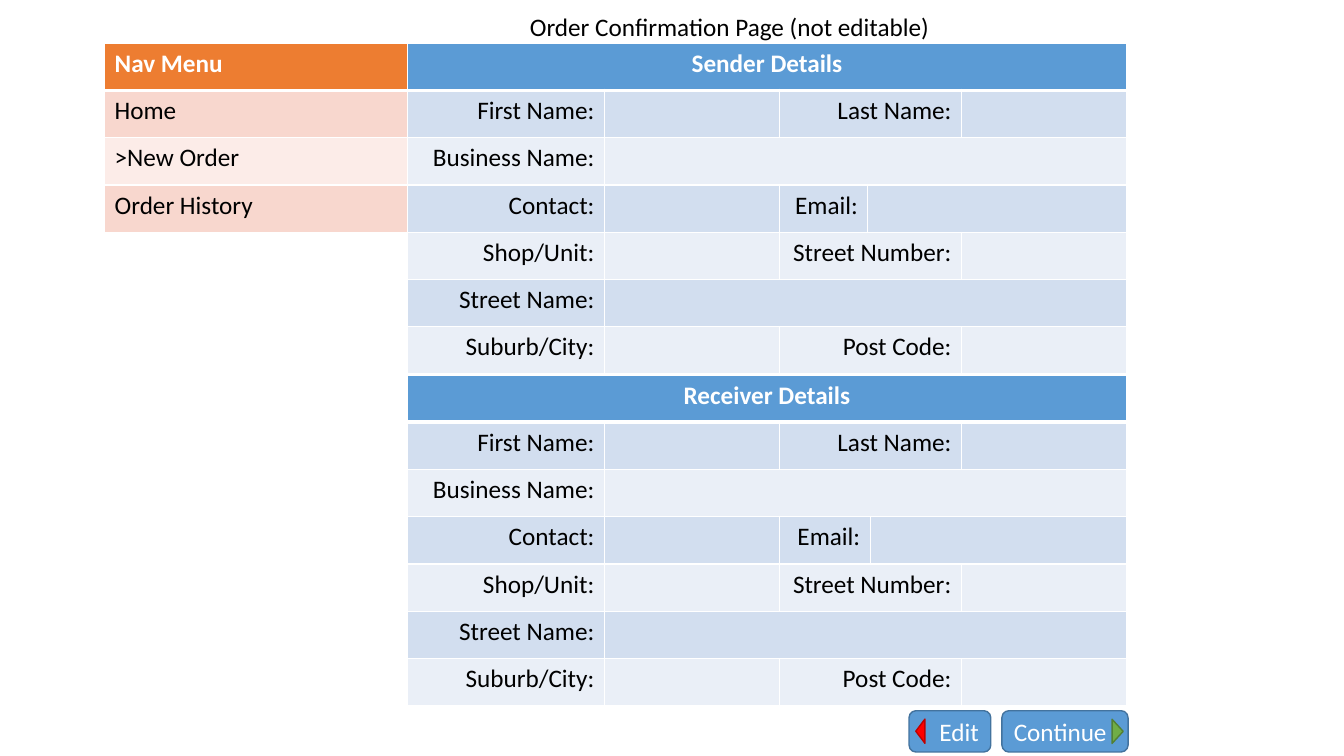
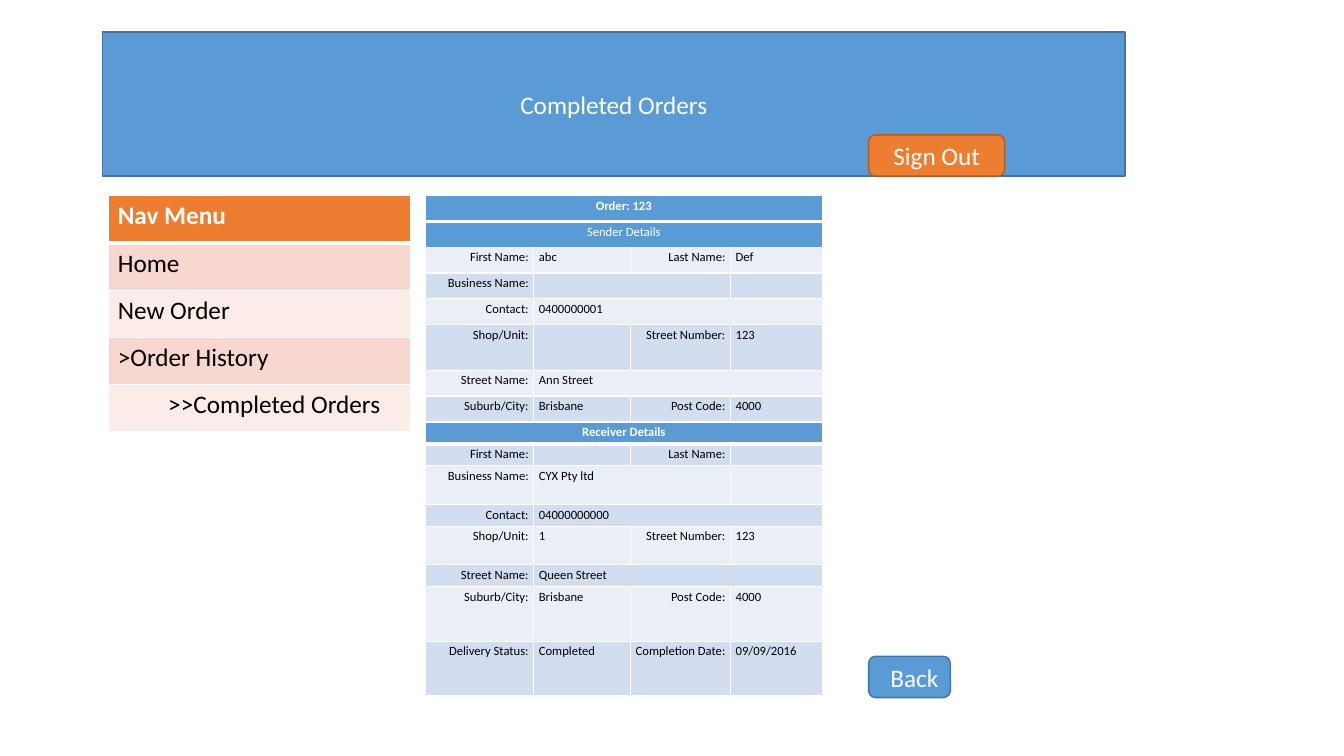
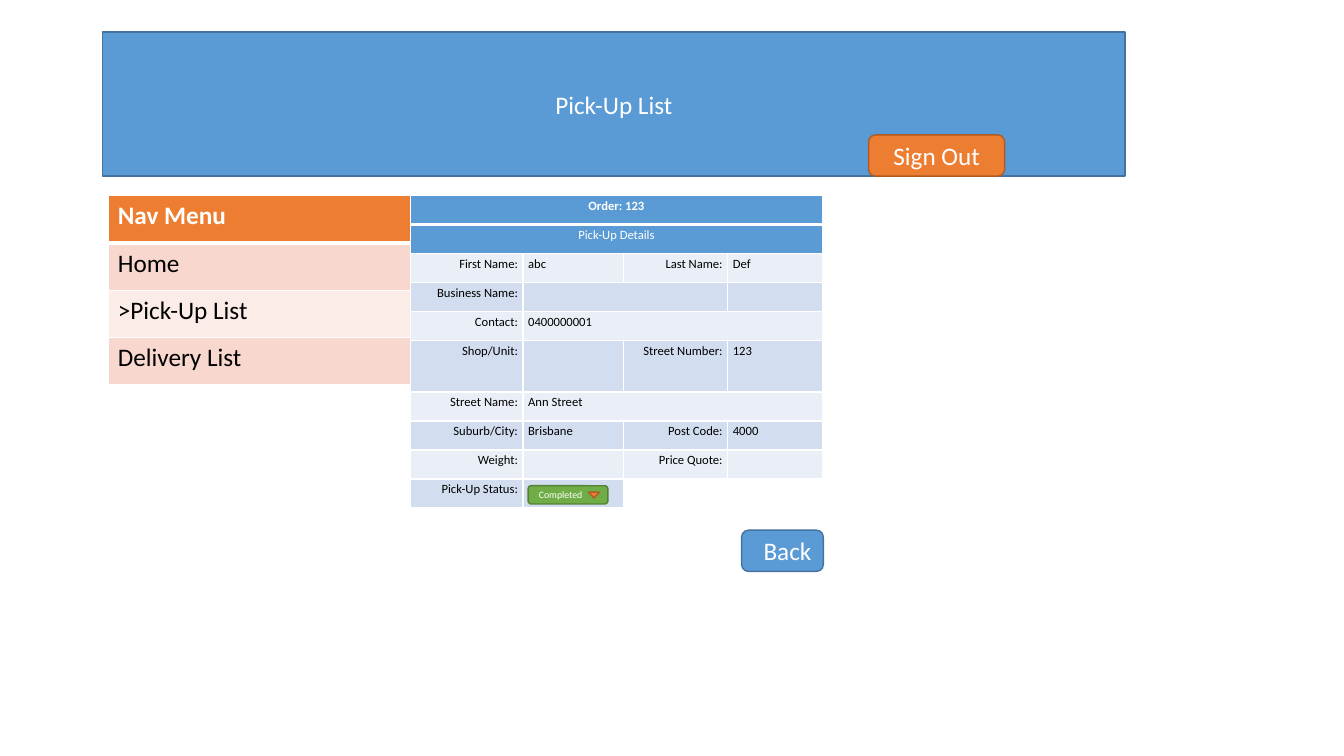
from pptx import Presentation
from pptx.dml.color import RGBColor
from pptx.enum.shapes import MSO_SHAPE as SHAPE
from pptx.enum.text import MSO_ANCHOR as ANCHOR, PP_ALIGN as ALIGN
from pptx.oxml.ns import qn
from pptx.util import Cm, Pt
from lxml.etree import SubElement

# Shared style
FONT = "Calibri"
WHITE, BLACK = "FFFFFF", "000000"
BLUE, BLUE_LINE = "5B9BD5", "43739E"
ORANGE, ORANGE_LINE = "ED7D31", "AF5C24"
GREEN, GREEN_LINE = "70AD47", "538035"
RED, RED_LINE = "FF0000", "C00000"
BLUE_BANDS = ("EAEFF7", "D2DEEF")  # even rows, odd rows
ORANGE_BANDS = ("FCECE8", "F8D7CE")
BUTTON_W, BUTTON_H = 2.06, 1.04
ROW_H = 1.19

# Table rows: None continues the cell on its left
FORM_ROWS = [
    ("First Name:", "", "Last Name:", None, ""),
    ("Business Name:", "", None, None, None),
    ("Contact:", "", "Email:", "", None),
    ("Shop/Unit:", "", "Street Number:", None, ""),
    ("Street Name:", "", None, None, None),
    ("Suburb/City:", "", "Post Code:", None, ""),
]


def order_rows(first, last, business, contact, unit, number, street, city, code):
    return [
        ("First Name:", first, "Last Name:", last),
        ("Business Name:", business, None, ""),
        ("Contact:", contact, None, None),
        ("Shop/Unit:", unit, "Street Number:", number),
        ("Street Name:", street, None, None),
        ("Suburb/City:", city, "Post Code:", code),
    ]


SENDER_ROWS = order_rows("abc", "Def", "", "0400000001", "", "123",
                         "Ann Street", "Brisbane", "4000")
RECEIVER_ROWS = order_rows("", "", "CYX Pty ltd", "04000000000", "1", "123",
                           "Queen Street", "Brisbane", "4000")


def rgb(color):
    return RGBColor.from_string(color)


def paint(shape, fill, line):
    shape.fill.solid()
    shape.fill.fore_color.rgb = rgb(fill)
    shape.line.color.rgb = rgb(line)
    shape.line.width = Pt(1)


def write(tf, text, size, color, align, bold=False):
    tf.text = text
    p = tf.paragraphs[0]
    p.alignment = align
    for r in p.runs:
        r.font.name, r.font.size, r.font.bold = FONT, Pt(size), bold
        r.font.color.rgb = rgb(color)
    return p


def add_shape(s, kind, x, y, w, h, fill, line, rotation=0):
    sp = s.shapes.add_shape(kind, Cm(x), Cm(y), Cm(w), Cm(h))
    sp.shadow.inherit = False
    sp.rotation = rotation
    paint(sp, fill, line)
    return sp


def add_button(s, text, x, y, w=BUTTON_W, h=BUTTON_H, fill=BLUE, line=BLUE_LINE,
               align=ALIGN.RIGHT, size=18):
    sp = add_shape(s, SHAPE.ROUNDED_RECTANGLE, x, y, w, h, fill, line)
    sp.text_frame.vertical_anchor = ANCHOR.MIDDLE
    write(sp.text_frame, text, size, WHITE, align)


def set_title(s, text, x, y, w, h, color):
    title = s.shapes.title
    title.left, title.top, title.width, title.height = Cm(x), Cm(y), Cm(w), Cm(h)
    title.text_frame.vertical_anchor = ANCHOR.MIDDLE
    write(title.text_frame, text, 18, color, ALIGN.CENTER)
    return title


def add_banner(s, text):
    paint(set_title(s, text, 2.59, 0.81, 25.76, 3.63, WHITE), BLUE, BLUE_LINE)
    add_button(s, "Sign Out", 21.89, 3.4, w=3.43, fill=ORANGE, line=ORANGE_LINE,
               align=ALIGN.CENTER)


def set_borders(cell, top, bottom):
    tcPr = cell._tc.get_or_add_tcPr()
    widths = {"a:lnL": 1, "a:lnR": 1, "a:lnT": top, "a:lnB": bottom}
    for i, (tag, width) in enumerate(widths.items()):
        ln = tcPr.makeelement(qn(tag), {"w": str(Pt(width))})
        tcPr.insert(i, ln)
        SubElement(SubElement(ln, qn("a:solidFill")), qn("a:srgbClr"), val=WHITE)


def add_table(s, x, y, widths, heights, rows, size=18, headers=1,
              head_fill=BLUE, bands=BLUE_BANDS):
    table = s.shapes.add_table(len(rows), len(widths), Cm(x), Cm(y),
                               Cm(sum(widths)), Cm(sum(heights))).table
    for column, width in zip(table.columns, widths):
        column.width = Cm(width)
    for row, height in zip(table.rows, heights):
        row.height = Cm(height)
    pad_x, pad_y = (0.25, 0.13) if size > 9 else (0.13, 0.07)

    for i, row in enumerate(rows):
        is_head = i < headers
        for j, text in enumerate(row):
            cell = table.cell(i, j)
            cell.margin_left = cell.margin_right = Cm(pad_x)
            cell.margin_top = cell.margin_bottom = Cm(pad_y)
            cell.fill.solid()
            cell.fill.fore_color.rgb = rgb(head_fill if is_head else bands[i % 2])
            set_borders(cell, 3 if i == 1 else 1, 3 if i == 0 else 1)
            text = text or ""
            if is_head and len(widths) > 1:
                align = ALIGN.CENTER
            else:
                align = ALIGN.RIGHT if text.endswith(":") else ALIGN.LEFT
            p = write(cell.text_frame, text, size, WHITE if is_head else BLACK,
                      align, bold=i == 0)
            if text.startswith(">>"):
                p._p.get_or_add_pPr().set("marL", str(Cm(1.27)))
            if not text:  # keeps empty rows as low as the filled ones
                SubElement(p._p, qn("a:endParaRPr"), sz=str(size * 100))

        # Merge each cell with the continuations that follow it
        starts = [j for j, text in enumerate(row) if text is not None]
        for start, end in zip(starts, starts[1:] + [len(row)]):
            if end - start > 1:
                table.cell(i, start).merge(table.cell(i, end - 1))
    return table


def add_nav(s, x, y, *items):
    rows = [(item,) for item in ("Nav Menu",) + items]
    add_table(s, x, y, [7.62], [ROW_H] * len(rows), rows,
              head_fill=ORANGE, bands=ORANGE_BANDS)


def heading(text, columns):
    return (text,) + (None,) * (columns - 1)


def confirmation_slide(s):
    set_title(s, "Order Confirmation Page (not editable)", 9.7, 0.23, 17.37, 0.86, BLACK)
    forms = [("Sender Details", 1.09, 2.22, 2.36), ("Receiver Details", 9.45, 2.28, 2.3)]
    for text, y, third, fourth in forms:
        add_table(s, 10.26, y, [4.97, 4.42, third, fourth, 4.17], [ROW_H] * 7,
                  [heading(text, 5)] + FORM_ROWS)
    add_nav(s, 2.64, 1.09, "Home", ">New Order", "Order History")

    # Buttons with their arrows
    add_button(s, "Edit", 22.91, 17.91)
    add_button(s, "Continue", 25.25, 17.91, w=3.18, align=ALIGN.LEFT)
    add_shape(s, SHAPE.FLOWCHART_EXTRACT, 27.86, 18.29, 0.61, 0.28, GREEN, GREEN_LINE, 90)
    add_shape(s, SHAPE.FLOWCHART_EXTRACT, 22.89, 18.31, 0.61, 0.23, RED, RED_LINE, 270)


def completed_slide(s):
    add_banner(s, "Completed Orders")
    add_nav(s, 2.72, 4.93, "Home", "New Order", ">Order History", ">>Completed Orders")
    widths = [2.73, 2.43, 2.53, 2.31]
    add_table(s, 10.72, 4.93, widths, [0.65] * 5 + [1.15] + [0.65] * 2,
              [heading("Order: 123", 4), heading("Sender Details", 4)] + SENDER_ROWS,
              size=9, headers=2)
    status = ("Delivery Status:", "Completed", "Completion Date:", "09/09/2016")
    add_table(s, 10.72, 10.64, widths, [0.55, 0.55, 0.97, 0.55, 0.97, 0.55, 1.38, 1.38],
              [heading("Receiver Details", 4)] + RECEIVER_ROWS + [status], size=9)
    add_button(s, "Back", 21.89, 16.54)


def pickup_slide(s):
    add_banner(s, "Pick-Up List")
    add_nav(s, 2.72, 4.93, "Home", ">Pick-Up List", "Delivery List")
    rows = [heading("Order: 123", 4), heading("Pick-Up Details", 4)] + SENDER_ROWS + [
        ("Weight:", "", "Price Quote:", ""),
        ("Pick-Up Status:", "", "", None),
    ]
    table = add_table(s, 10.34, 4.93, [2.84, 2.53, 2.63, 2.39],
                      [0.73] * 5 + [1.3] + [0.73] * 4, rows, size=9, headers=2)
    for j in (2, 3):
        table.cell(len(rows) - 1, j).fill.background()
    add_button(s, "Back", 18.69, 13.36)

    # Status drop-down
    add_button(s, "Completed", 13.31, 12.24, w=2.01, h=0.46, fill=GREEN,
               line=GREEN_LINE, align=ALIGN.LEFT, size=7)
    add_shape(s, SHAPE.ISOSCELES_TRIANGLE, 14.83, 12.4, 0.28, 0.15, ORANGE, ORANGE_LINE, 180)


def main():
    prs = Presentation()
    prs.slide_width, prs.slide_height = Cm(33.87), Cm(19.05)
    title_only = prs.slide_layouts[5]
    for build in (confirmation_slide, completed_slide, pickup_slide):
        build(prs.slides.add_slide(title_only))
    prs.save("out.pptx")


if __name__ == "__main__":
    main()
